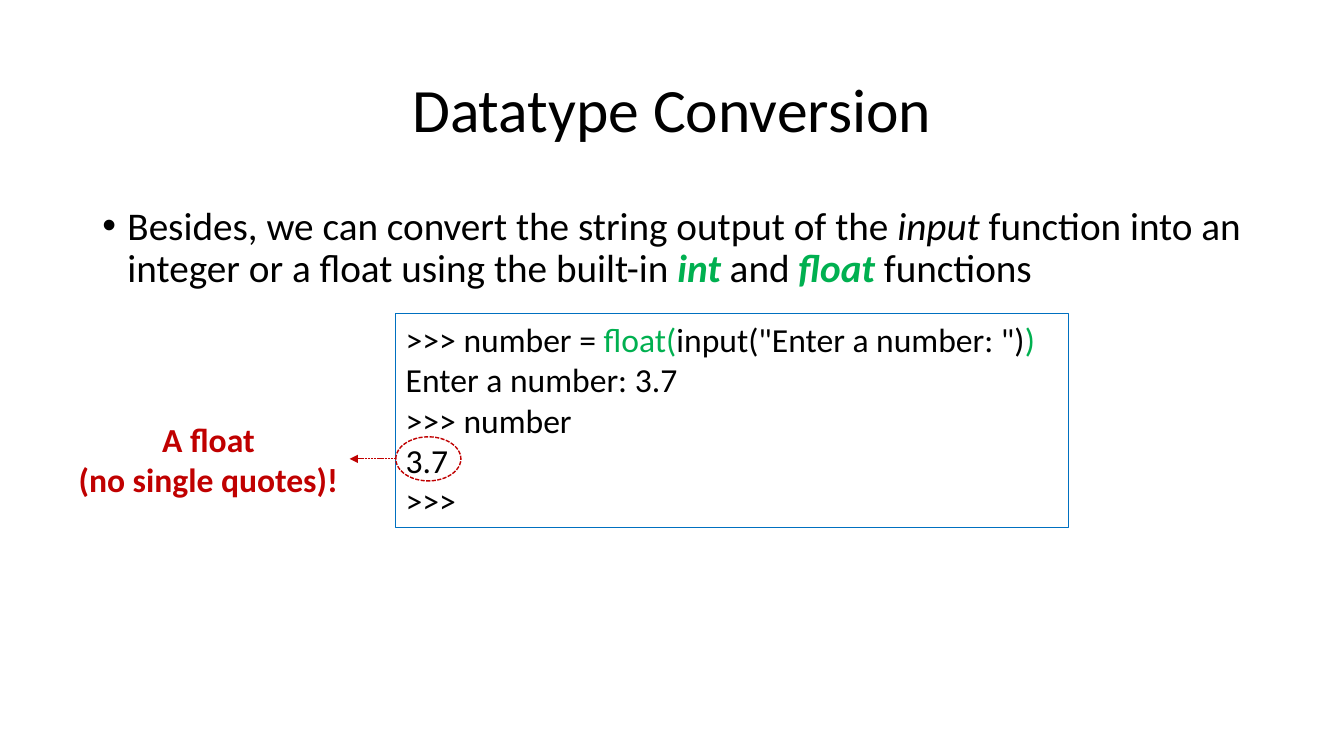
from lxml import etree
from pptx import Presentation
from pptx.dml.color import RGBColor
from pptx.enum.dml import MSO_LINE
from pptx.enum.shapes import MSO_CONNECTOR, MSO_SHAPE
from pptx.enum.text import MSO_ANCHOR, PP_ALIGN
from pptx.oxml.ns import qn
from pptx.util import Emu, Pt

CENTER, LEFT = PP_ALIGN.CENTER, PP_ALIGN.LEFT
MIDDLE, TOP = MSO_ANCHOR.MIDDLE, MSO_ANCHOR.TOP
RECTANGLE, OVAL = MSO_SHAPE.RECTANGLE, MSO_SHAPE.OVAL
STRAIGHT = MSO_CONNECTOR.STRAIGHT
DASH = MSO_LINE.SQUARE_DOT
TITLE_ONLY = 5
FONT = "Calibri"
COLORS = {"text": "000000", "keyword": "00B050", "frame": "0070C0", "callout": "C00000"}

KEYWORD = {"color": "keyword"}
ITALIC = {"italic": True}
FUNCTION_NAME = {"color": "keyword", "bold": True, "italic": True}
CALLOUT = {"color": "callout", "bold": True}

STATEMENT = [[
    ("Besides, we can convert the string output of the ", {}),
    ("input", ITALIC),
    (" function into an integer or a float using the built-in ", {}),
    ("int", FUNCTION_NAME),
    (" and ", {}),
    ("float", FUNCTION_NAME),
    (" functions", {}),
]]
CODE = [
    [(">>> number = ", {}), ("float(", KEYWORD),
     ('input("Enter a number: ")', {}), (")", KEYWORD)],
    [("Enter a number: 3.7", {})],
    [(">>> number", {})],
    [("3.7", {})],
    [(">>>", {})],
]
CALLOUT_LINES = [[("A float", CALLOUT)], [("(no single quotes)!", CALLOUT)]]


def px(length):
    return Emu(length * 9525)


def color(name):
    return RGBColor.from_string(COLORS[name])


def set_attributes(target, values):
    for name, value in values.items():
        setattr(target, name, value)


def write_text(text_frame, paragraphs, size, paragraph_format, anchor=TOP, wrap=True):
    set_attributes(text_frame, {"word_wrap": wrap, "vertical_anchor": anchor})
    for index, runs in enumerate(paragraphs):
        paragraph = text_frame.add_paragraph() if index else text_frame.paragraphs[0]
        set_attributes(paragraph, paragraph_format)
        for text, run_format in runs:
            run = paragraph.add_run()
            run.text = text
            font_format = {"name": FONT, "size": Pt(size), "bold": False, "italic": False}
            font_format.update(run_format)
            run.font.color.rgb = color(font_format.pop("color", "text"))
            set_attributes(run.font, font_format)


def set_line(line, color_name, width, dash=None):
    line.color.rgb = color(color_name)
    set_attributes(line, {"width": Pt(width), "dash_style": dash})


def add_outline(slide, kind, box, color_name, width, dash=None):
    shape = slide.shapes.add_shape(kind, *map(px, box))
    shape.shadow.inherit = False
    shape.fill.background()
    set_line(shape.line, color_name, width, dash)
    return shape


def add_title(slide, box):
    title = slide.shapes.title
    set_attributes(title, dict(zip(("left", "top", "width", "height"), map(px, box))))
    write_text(title.text_frame, [[("Datatype Conversion", {})]], 44,
               {"alignment": CENTER, "line_spacing": 0.9}, MIDDLE)


def add_statement(slide, box):
    text_frame = slide.shapes.add_textbox(*map(px, box)).text_frame
    write_text(text_frame, STATEMENT, 28, {"line_spacing": 0.9, "space_before": Pt(10)})
    # Hanging bullet
    properties = text_frame.paragraphs[0]._p.get_or_add_pPr()
    properties.set("marL", str(px(24)))
    properties.set("indent", str(px(-24)))
    etree.SubElement(properties, qn("a:buFont"), typeface="Arial")
    etree.SubElement(properties, qn("a:buChar"), char="•")


def add_code(slide, box):
    frame = add_outline(slide, RECTANGLE, box, "frame", 0.75)
    write_text(frame.text_frame, CODE, 24, {"alignment": LEFT})


def add_callout(slide, box, ring_left):
    left, top, width, height = box
    label = slide.shapes.add_textbox(*map(px, box))
    write_text(label.text_frame, CALLOUT_LINES, 24, {"alignment": CENTER}, wrap=False)

    # Ring around the result
    ring_width, ring_height = 62, 42
    middle = top + height // 2
    ring_box = (ring_left, middle - ring_height // 2, ring_width, ring_height)
    add_outline(slide, OVAL, ring_box, "callout", 1, DASH)

    # Arrow from the ring to the label
    arrow = slide.shapes.add_connector(
        STRAIGHT, *map(px, (ring_left, middle, left + width, middle)))
    set_line(arrow.line, "callout", 0.5, DASH)
    etree.SubElement(arrow.line._get_or_add_ln(), qn("a:tailEnd"), type="triangle")
    etree.SubElement(arrow._element.spPr, qn("a:effectLst"))


def main():
    presentation = Presentation()
    set_attributes(presentation, {"slide_width": px(1280), "slide_height": px(720)})
    slide = presentation.slides.add_slide(presentation.slide_layouts[TITLE_ONLY])
    code_left = 377
    add_statement(slide, (88, 192, 1135, 493))
    add_title(slide, (88, 38, 1104, 139))
    add_code(slide, (code_left, 299, 641, 203))
    add_callout(slide, (64, 394, 269, 87), code_left)
    presentation.save("out.pptx")


if __name__ == "__main__":
    main()
